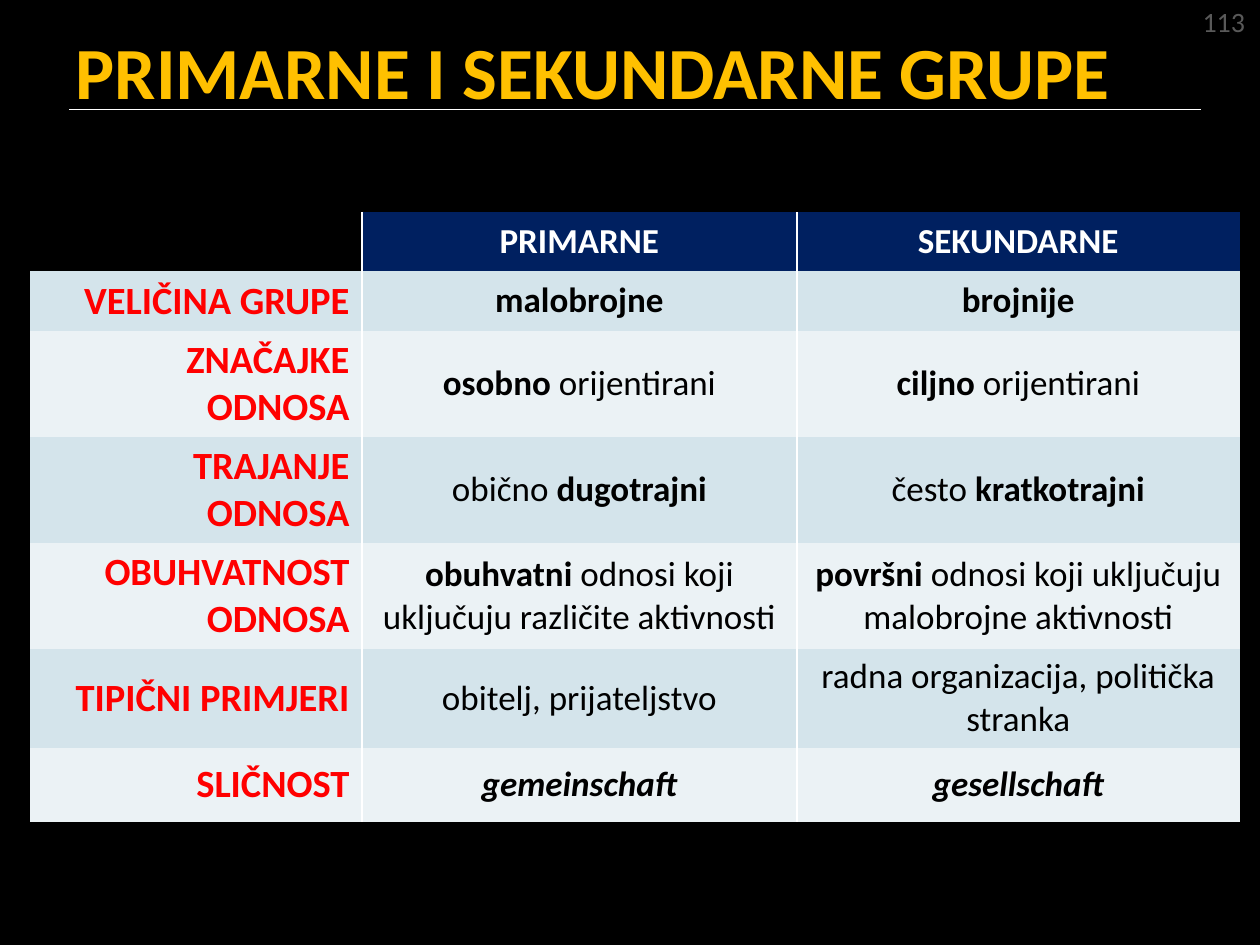
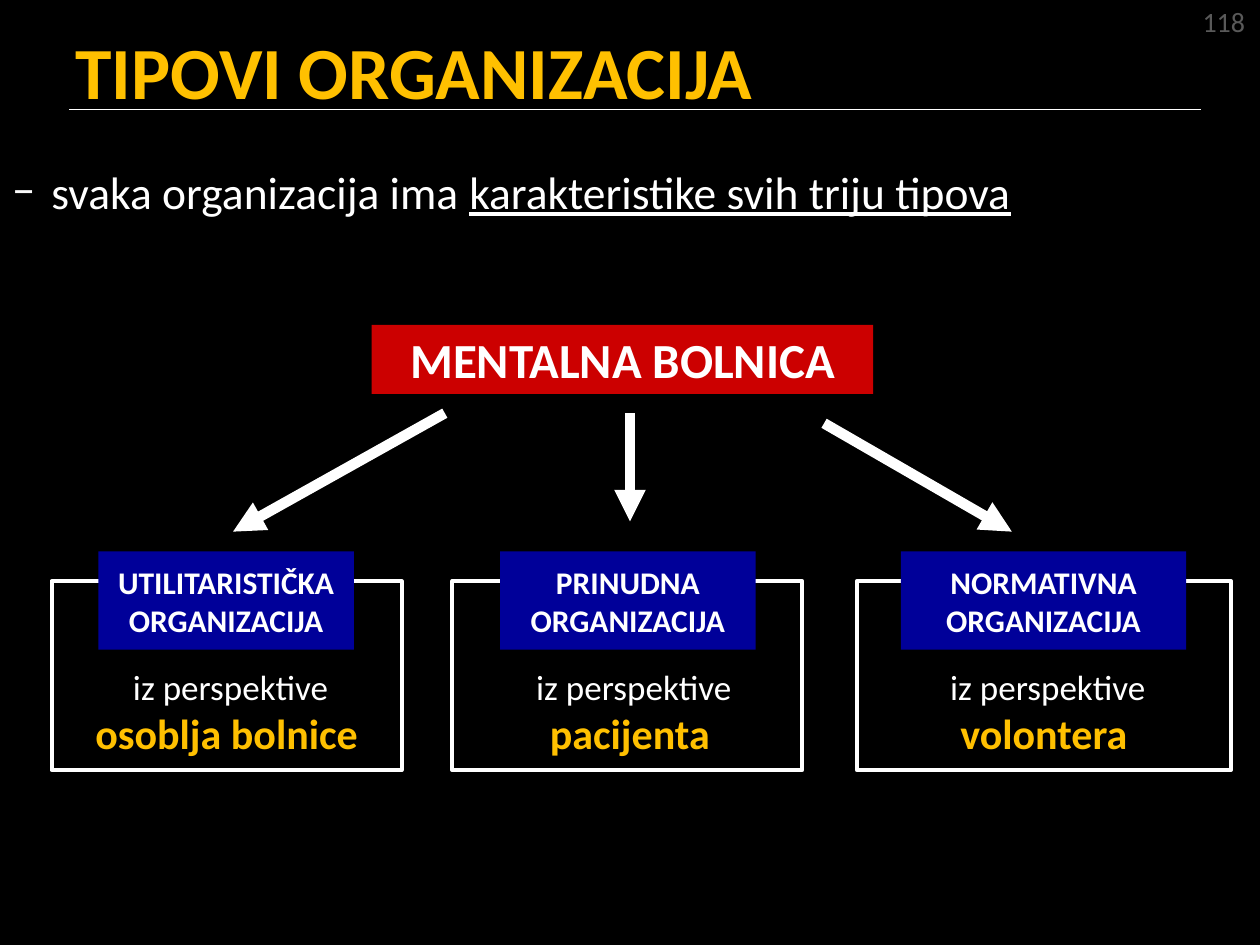
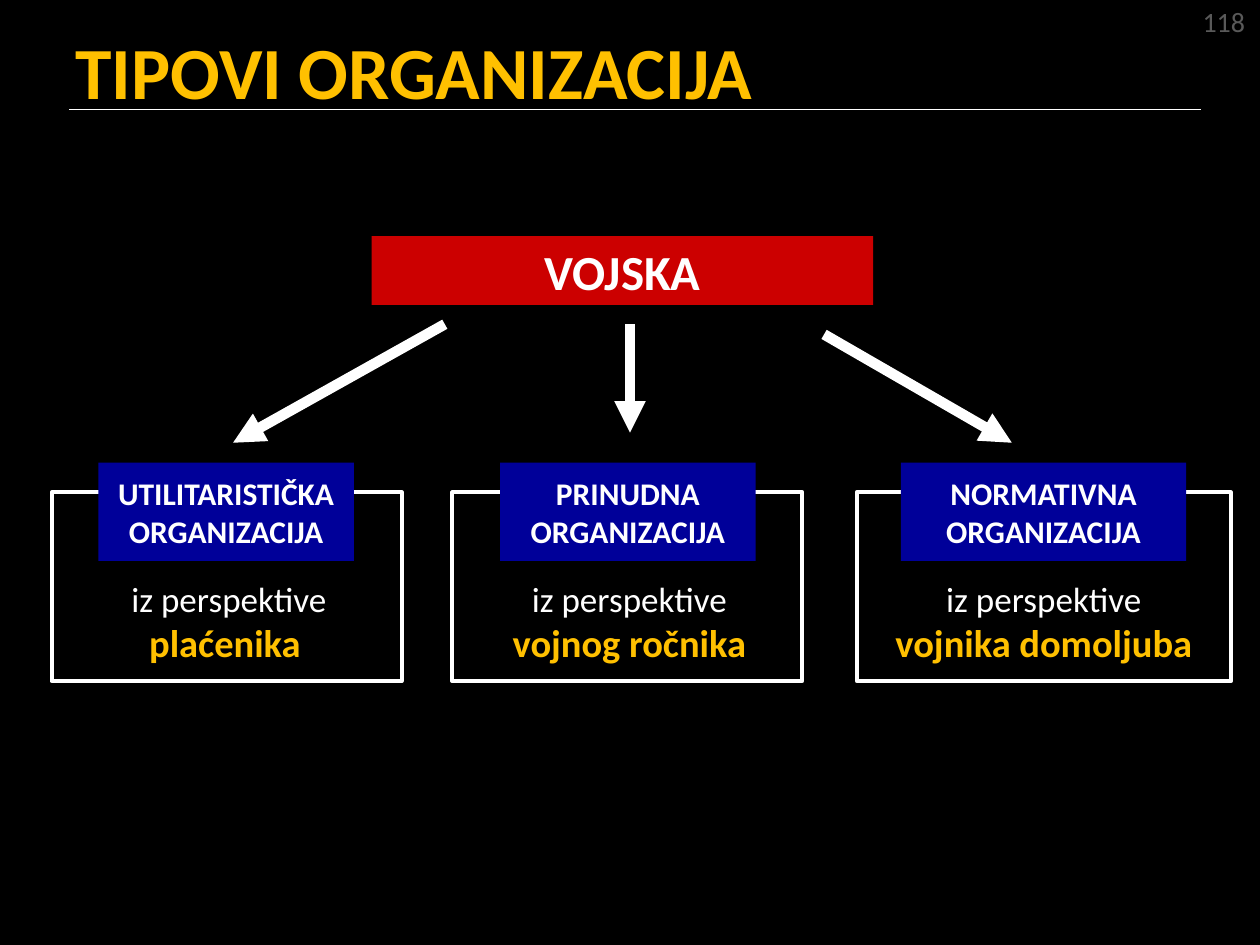
"""Builds three slides on social groups and types of organisations."""
from lxml import etree
from pptx import Presentation
from pptx.dml.color import RGBColor
from pptx.enum import shapes, text
from pptx.oxml import ns
from pptx.util import Pt

FONT = "Calibri"
BLACK = RGBColor(0, 0, 0)
WHITE = RGBColor(255, 255, 255)
GOLD = RGBColor(0xFF, 0xC0, 0x00)
GREY = RGBColor(0x59, 0x59, 0x59)
RED = RGBColor(0xFF, 0, 0)
CRIMSON = RGBColor(0xCC, 0, 0)
BLUE = RGBColor(0, 0, 0x99)
NAVY = RGBColor(0x00, 0x20, 0x60)
BANDS = (RGBColor(0xD4, 0xE4, 0xEB), RGBColor(0xEB, 0xF2, 0xF5))
NO_STYLE = "{2D5ABB26-0587-4C30-8999-92F81FD0307C}"
CENTER, RIGHT = text.PP_ALIGN.CENTER, text.PP_ALIGN.RIGHT

GROUPS_TITLE = "PRIMARNE I SEKUNDARNE GRUPE"
TYPES_TITLE = "TIPOVI ORGANIZACIJA"
HEADINGS = ("PRIMARNE", "SEKUNDARNE")
COMPARISON = [
    ("VELIČINA GRUPE", [("malobrojne", "b")], [("brojnije", "b")]),
    ("ZNAČAJKE ODNOSA", [("osobno", "b"), (" orijentirani", "")],
     [("ciljno", "b"), (" orijentirani", "")]),
    ("TRAJANJE ODNOSA", [("obično ", ""), ("dugotrajni", "b")],
     [("često ", ""), ("kratkotrajni", "b")]),
    ("OBUHVATNOST ODNOSA",
     [("obuhvatni", "b"), (" odnosi koji uključuju različite aktivnosti", "")],
     [("površni", "b"), (" odnosi koji uključuju malobrojne aktivnosti", "")]),
    ("TIPIČNI PRIMJERI", [("obitelj, prijateljstvo", "")],
     [("radna organizacija, politička stranka", "")]),
    ("SLIČNOST", [("gemeinschaft", "bi")], [("gesellschaft", "bi")]),
]
COL_WIDTHS = (190, 248.4, 253.2)
ROW_HEIGHTS = (33.9, 34.1, 60.6, 60.6, 60.6, 56.6, 42.3)

INTRO = [("svaka organizacija ima ", ""), ("karakteristike svih triju tipova", "u")]
TYPES = [
    ("PRINUDNA ORGANIZACIJA", (258.5, 200), (285.8, 146)),
    ("UTILITARISTIČKA ORGANIZACIJA", (29.5, 200), (56.2, 146)),
    ("NORMATIVNA ORGANIZACIJA", (489.6, 213.8), (514.8, 163)),
]
ARROWS = [((254.2, 50.4), (133.2, 118.1)), ((360, 50.4), (360, 112.3)),
          ((470.9, 56.2), (578.2, 118.1))]
LEAD = " iz perspektive "
HOSPITAL = dict(name="MENTALNA BOLNICA", top=185.7, size=24, captions=[
    (264.2, 191.5, LEAD, "pacijenta"),
    (33.8, 191.5, LEAD, "osoblja bolnice"),
    (489.6, 213.8, LEAD, "volontera")])
ARMY = dict(name="VOJSKA", top=134.9, size=22, captions=[
    (258.5, 202.3, LEAD + "\n", "vojnog ročnika"),
    (28.1, 200.9, LEAD, "plaćenika"),
    (489.6, 213.8, LEAD + "\n", "vojnika domoljuba")])


def add_run(p, words, size, color, style=""):
    r = p.add_run()
    r.text = words
    f = r.font
    f.name, f.size, f.color.rgb = FONT, Pt(size), color
    f.bold, f.italic, f.underline = "b" in style, "i" in style, "u" in style


def add_text(s, left, top, width, height, align=None, wrap=True):
    tf = s.shapes.add_textbox(Pt(left), Pt(top), Pt(width), Pt(height)).text_frame
    tf.word_wrap = wrap
    p = tf.paragraphs[0]
    p.alignment = align
    return p


def add_line(s, start, end, width, arrow=False):
    cx = s.shapes.add_connector(shapes.MSO_CONNECTOR.STRAIGHT,
                                *(Pt(v) for v in start + end))
    cx.line.color.rgb, cx.line.width = WHITE, Pt(width)
    sp_pr = cx._element.spPr
    if arrow:
        etree.SubElement(sp_pr.find(ns.qn("a:ln")), ns.qn("a:tailEnd"), type="triangle")
    etree.SubElement(sp_pr, ns.qn("a:effectLst"))


def add_box(parent, left, top, width, height, fill=None, words="", size=18):
    sp = parent.add_shape(shapes.MSO_SHAPE.RECTANGLE,
                          Pt(left), Pt(top), Pt(width), Pt(height))
    sp.shadow.inherit = False
    if fill is None:
        sp.fill.background()
        sp.line.color.rgb, sp.line.width = WHITE, Pt(2.25)
        return
    sp.fill.solid()
    sp.fill.fore_color.rgb = fill
    sp.line.fill.background()
    tf = sp.text_frame
    tf.word_wrap, tf.vertical_anchor = True, text.MSO_ANCHOR.MIDDLE
    tf.paragraphs[0].alignment = CENTER
    add_run(tf.paragraphs[0], words, size, WHITE, "b")


def new_slide(prs, title, number):
    s = prs.slides.add_slide(prs.slide_layouts[5])
    add_line(s, (39.6, 62.6), (686.2, 62.6), 1)
    sp = s.shapes.title
    sp.left, sp.top, sp.width, sp.height = Pt(36), Pt(5.8), Pt(656), Pt(68.4)
    sp.text_frame.vertical_anchor = text.MSO_ANCHOR.MIDDLE
    p = sp.text_frame.paragraphs[0]
    p.alignment = text.PP_ALIGN.LEFT
    add_run(p, title, 42, GOLD, "b")
    add_run(add_text(s, 679.7, -0.7, 38.9, 26.6, RIGHT, False), str(number), 16, GREY)
    return s


def add_border(cell, side, index):
    ln = etree.Element(ns.qn(f"a:{side}"), w=str(Pt(1.5)))
    fill = etree.SubElement(ln, ns.qn("a:solidFill"))
    etree.SubElement(fill, ns.qn("a:srgbClr"), val=str(WHITE))
    cell._tc.get_or_add_tcPr().insert(index, ln)


def fill_cell(cell, fill, runs, size, color, align):
    cell.vertical_anchor = text.MSO_ANCHOR.MIDDLE
    cell.fill.solid()
    cell.fill.fore_color.rgb = fill
    p = cell.text_frame.paragraphs[0]
    p.alignment = align
    for words, style in runs:
        add_run(p, words, size, color, style)
    return p


def add_comparison(s):
    table = s.shapes.add_table(len(ROW_HEIGHTS), len(COL_WIDTHS), Pt(16.9), Pt(121),
                               Pt(sum(COL_WIDTHS)), Pt(sum(ROW_HEIGHTS))).table
    table.first_row = table.horz_banding = False
    table._tbl.tblPr.find(ns.qn("a:tableStyleId")).text = NO_STYLE
    for col, width in zip(table.columns, COL_WIDTHS):
        col.width = Pt(width)
    for row, height in zip(table.rows, ROW_HEIGHTS):
        row.height = Pt(height)
    table.cell(0, 0).fill.background()
    for c, heading in enumerate(HEADINGS, 1):
        fill_cell(table.cell(0, c), NAVY, [(heading, "b")], 20, WHITE, CENTER)
    for r, (feature, *values) in enumerate(COMPARISON, 1):
        band = BANDS[(r - 1) % 2]
        p = fill_cell(table.cell(r, 0), band, [(feature, "b")], 22, RED, RIGHT)
        p._p.get_or_add_pPr().set("marL", str(Pt(14.4)))
        for c, runs in enumerate(values, 1):
            fill_cell(table.cell(r, c), band, runs, 20, BLACK, CENTER)
    last = len(COL_WIDTHS) - 1
    for row in table.rows:
        for c, cell in enumerate(row.cells):
            if c < last:
                add_border(cell, "lnR", 0)
            if c > 0:
                add_border(cell, "lnL", 0)


def add_intro(s):
    p = add_text(s, 0, 90, 720, 62)
    p_pr = p._p.get_or_add_pPr()
    p_pr.set("marL", str(Pt(22.3)))
    p_pr.set("indent", str(-Pt(22.3)))
    color = etree.SubElement(p_pr, ns.qn("a:buClr"))
    etree.SubElement(color, ns.qn("a:srgbClr"), val="F9F9F9")
    etree.SubElement(p_pr, ns.qn("a:buFont"), typeface=FONT)
    etree.SubElement(p_pr, ns.qn("a:buChar"), char="−")
    for words, style in INTRO:
        add_run(p, words, 26, WHITE, style)


def add_diagram(s, name, top, size, captions):
    add_box(s.shapes, 212.4, top, 286.6, 39.4, CRIMSON, name, 28)
    for (label, frame, tag), (left, width, lead, viewer) in zip(TYPES, captions):
        group = s.shapes.add_group_shape().shapes
        add_box(group, frame[0], top + 146.4, frame[1], 108)
        add_box(group, tag[0], top + 129.4, tag[1], 56.2, BLUE, label)
        p = add_text(s, left, top + 191.3, width, 60, CENTER)
        add_run(p, lead.rstrip("\n"), 20, WHITE)
        if lead.endswith("\n"):
            p.add_line_break()
        add_run(p, viewer, size, GOLD, "b")
    for (x1, y1), (x2, y2) in ARROWS:
        add_line(s, (x1, top + y1), (x2, top + y2), 6, arrow=True)


def main():
    prs = Presentation()
    prs.slide_width, prs.slide_height = Pt(720), Pt(540)
    background = prs.slide_master.background.fill
    background.solid()
    background.fore_color.rgb = BLACK
    add_comparison(new_slide(prs, GROUPS_TITLE, 113))
    s = new_slide(prs, TYPES_TITLE, 118)
    add_diagram(s, **HOSPITAL)
    add_intro(s)
    add_diagram(new_slide(prs, TYPES_TITLE, 118), **ARMY)
    prs.save("out.pptx")


if __name__ == "__main__":
    main()
